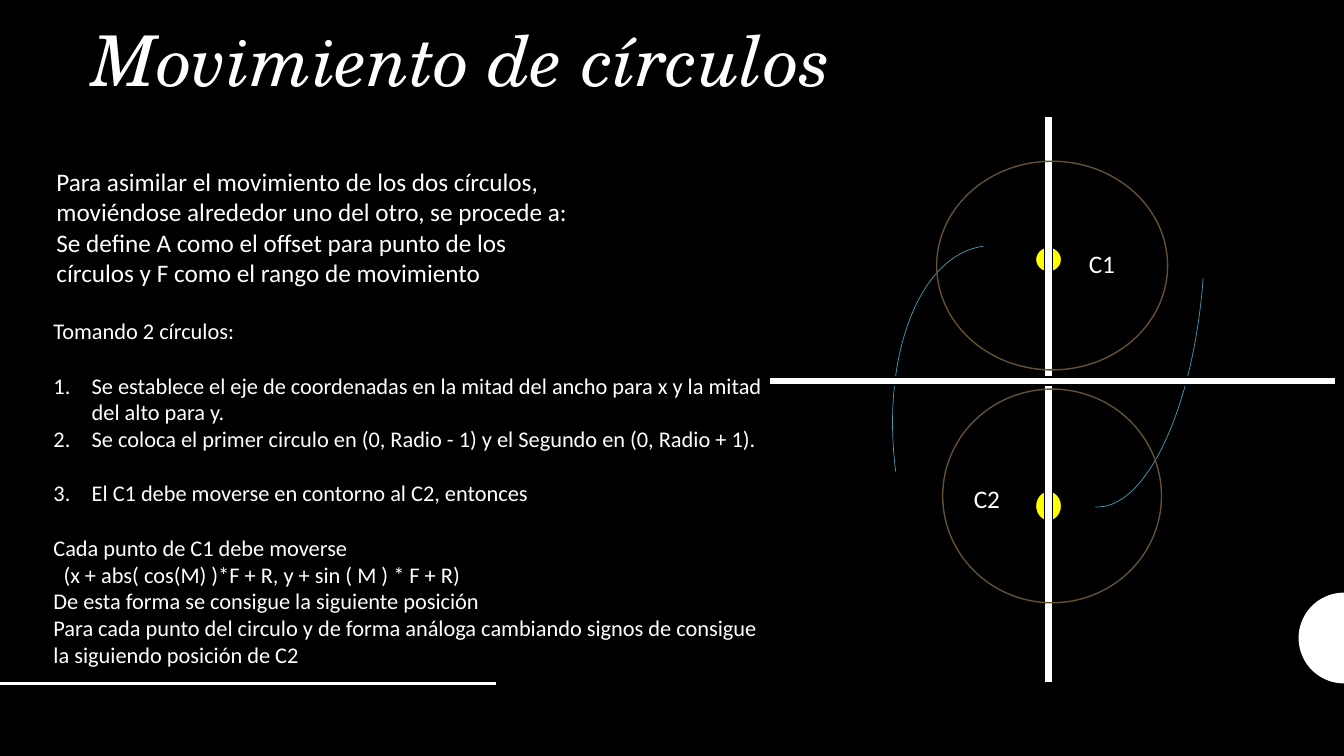
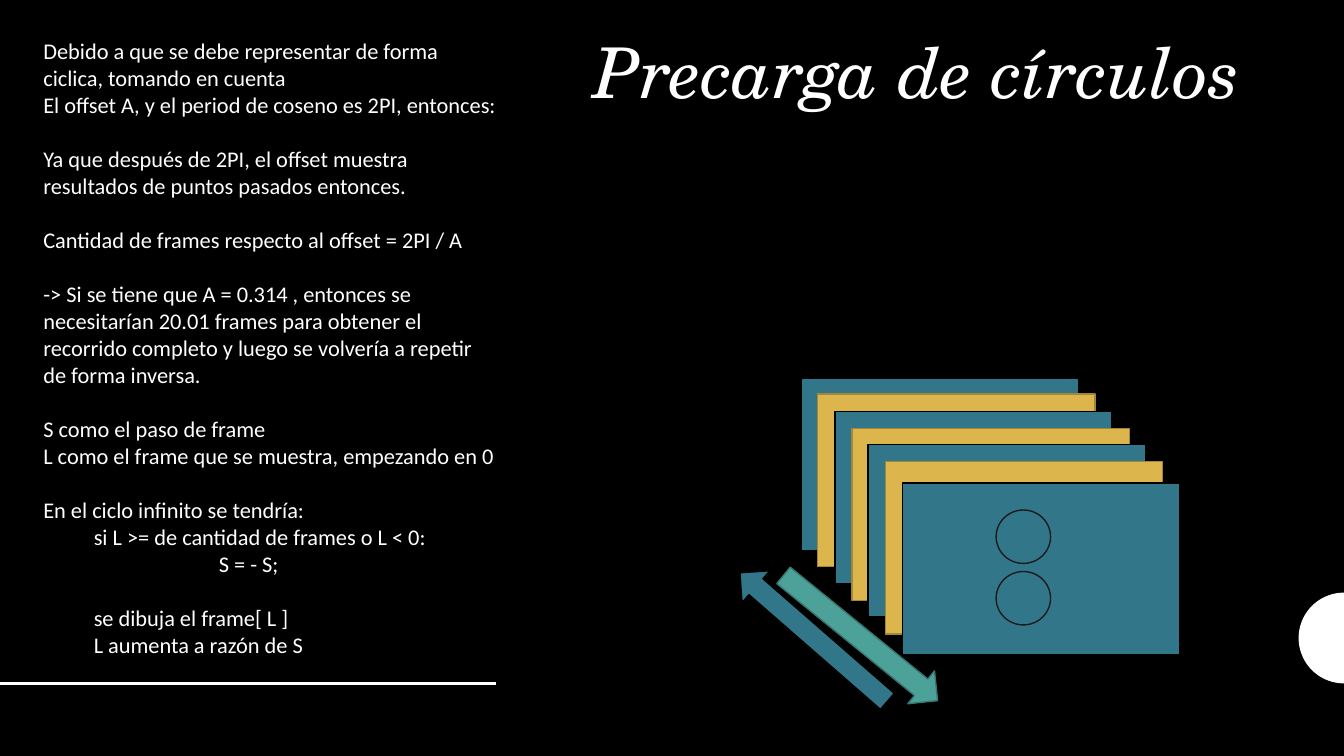
from dataclasses import dataclass
from math import cos, pi, sin
from typing import Optional

from pptx import Presentation
from pptx.dml.color import RGBColor
from pptx.enum.shapes import MSO_AUTO_SHAPE_TYPE as Preset, MSO_CONNECTOR as Connector
from pptx.enum.text import MSO_ANCHOR as Anchor, MSO_AUTO_SIZE as AutoSize, PP_ALIGN as Align
from pptx.oxml.ns import qn
from pptx.slide import Slide
from pptx.util import Emu, Pt
from lxml.etree import SubElement

EMU_PER_PX = 9144


def px(length: float) -> Emu:
    return Emu(round(length * EMU_PER_PX))


@dataclass(frozen=True)
class Theme:
    black: str = "000000"
    white: str = "FFFFFF"
    yellow: str = "FFFF00"
    blue: str = "327689"
    gold: str = "DCB64D"
    gold_edge: str = "A38739"
    green: str = "4CA198"
    green_edge: str = "387770"
    orbit: str = "439EB7"
    ring: str = "645135"
    ink: str = "1D1A1D"
    title_font: str = "TeX Gyre Schola"
    body_font: str = "Calibri"
    title_size: float = 50
    lead_size: float = 18
    body_size: float = 16
    gap: float = 19.5


THEME = Theme()


@dataclass(frozen=True)
class Box:
    left: int
    top: int
    width: int
    height: int


@dataclass(frozen=True)
class Figure:
    preset: Preset
    box: Box
    line: str = THEME.black
    fill: Optional[str] = None
    weight: float = 1
    rotation: float = 0


@dataclass(frozen=True)
class Line:
    text: str
    gap: bool = False
    indent: int = 0
    numbered: bool = False


def rgb(code: str) -> RGBColor:
    return RGBColor.from_string(code)


def place(shape, box: Box) -> None:
    shape.left, shape.top = px(box.left), px(box.top)
    shape.width, shape.height = px(box.width), px(box.height)


def style_font(paragraph, name: str, size: float, italic: bool = False) -> None:
    font = paragraph.font
    font.name, font.size, font.italic = name, Pt(size), italic
    font.color.rgb = rgb(THEME.white)


def set_frame(shape, anchor: Anchor = Anchor.TOP):
    frame = shape.text_frame
    frame.word_wrap = True
    frame.auto_size = AutoSize.NONE
    frame.vertical_anchor = anchor
    return frame


def write_title(slide: Slide, text: str, box: Box) -> None:
    title = slide.shapes.title
    place(title, box)
    paragraph = set_frame(title).paragraphs[0]
    paragraph.text = text
    paragraph.alignment = Align.RIGHT
    paragraph.line_spacing = 0.9
    style_font(paragraph, THEME.title_font, THEME.title_size, italic=True)


def set_bullet(paragraph, line: Line) -> None:
    properties = paragraph._p.get_or_add_pPr()
    hanging = 38 if line.numbered else 0
    properties.set("marL", str(px(line.indent + hanging)))
    properties.set("indent", str(px(-hanging)))
    if line.numbered:
        SubElement(properties, qn("a:buFont"), typeface="+mj-lt")
        SubElement(properties, qn("a:buAutoNum"), type="arabicPeriod")
    else:
        SubElement(properties, qn("a:buNone"))


def write_body(slide: Slide, index: int, box: Box, lines: list[Line], size: float) -> None:
    body = slide.placeholders[index]
    place(body, box)
    frame = set_frame(body)
    for position, line in enumerate(lines):
        paragraph = frame.add_paragraph() if position else frame.paragraphs[0]
        paragraph.text = line.text
        set_bullet(paragraph, line)
        paragraph.alignment = Align.LEFT
        paragraph.space_before = Pt(THEME.gap if line.gap else 0)
        style_font(paragraph, THEME.body_font, size)


def write_label(slide: Slide, text: str, left: int, top: int) -> None:
    label = slide.shapes.add_textbox(px(left), px(top), px(58), px(40))
    paragraph = set_frame(label).paragraphs[0]
    paragraph.text = text
    style_font(paragraph, THEME.body_font, THEME.lead_size)


def draw(slide: Slide, figure: Figure) -> None:
    box = figure.box
    shape = slide.shapes.add_shape(
        figure.preset, px(box.left), px(box.top), px(box.width), px(box.height))
    shape.shadow.inherit = False
    shape.rotation = figure.rotation
    if figure.fill:
        shape.fill.solid()
        shape.fill.fore_color.rgb = rgb(figure.fill)
    else:
        shape.fill.background()
    shape.line.color.rgb = rgb(figure.line)
    shape.line.width = Pt(figure.weight)


def decorate_master(deck: Presentation, slide: Slide) -> None:
    master = deck.slide_master
    master.background.fill.solid()
    master.background.fill.fore_color.rgb = rgb(THEME.black)

    center_y, radius, steps = 633, 45, 48
    rim = [(px(1333 - radius * sin(pi * step / steps)),
            px(center_y + radius * cos(pi * step / steps))) for step in range(steps + 1)]
    builder = slide.shapes.build_freeform(*rim[0])
    builder.add_line_segments(rim[1:], close=True)
    half_disc = builder.convert_to_shape()
    half_disc.shadow.inherit = False
    half_disc.fill.solid()
    half_disc.fill.fore_color.rgb = rgb(THEME.white)
    half_disc.line.fill.background()

    rule = slide.shapes.add_connector(Connector.STRAIGHT, px(0), px(678), px(492), px(678))
    rule.line.color.rgb = rgb(THEME.white)
    rule.line.width = Pt(2)
    SubElement(rule.element.spPr, qn("a:effectLst"))

    for number, decoration in enumerate((half_disc, rule), start=101):
        decoration.element.xpath(".//p:cNvPr")[0].set("id", str(number))
        master.shapes.element.append(decoration.element)


def build_movement(slide: Slide) -> None:
    write_title(slide, "Movimiento de círculos", Box(34, 21, 800, 145))
    write_body(slide, 1, Box(46, 160, 532, 131), [
        Line("Para asimilar el movimiento de los dos círculos, moviéndose alrededor uno del otro, "
             "se procede a:"),
        Line("Se define A como el offset para punto de los círculos y F como el rango de movimiento"),
    ], THEME.lead_size)
    write_body(slide, 2, Box(43, 310, 724, 390), [
        Line("Tomando 2 círculos:"),
        Line("Se establece el eje de coordenadas en la mitad del ancho para x y la mitad del alto "
             "para y.", gap=True, numbered=True),
        Line("Se coloca el primer circulo en (0, Radio - 1) y el Segundo en (0, Radio + 1).",
             numbered=True),
        Line("El C1 debe moverse en contorno al C2, entonces", gap=True, numbered=True),
        Line("Cada punto de C1 debe moverse", gap=True),
        Line("(x + abs( cos(M) )*F + R, y + sin ( M ) * F + R)", indent=10),
        Line("De esta forma se consigue la siguiente posición"),
        Line("Para cada punto del circulo y de forma análoga cambiando signos de consigue la "
             "siguiendo posición de C2"),
    ], THEME.body_size)

    for figure in (
        Figure(Preset.OVAL, Box(1027, 245, 26, 25), fill=THEME.yellow),
        Figure(Preset.OVAL, Box(1027, 487, 26, 30), fill=THEME.yellow),
        Figure(Preset.ARC, Box(869, 179, 468, 181), THEME.orbit, weight=0.5, rotation=94.1),
        Figure(Preset.ARC, Box(792, 338, 421, 230), THEME.orbit, weight=0.5, rotation=262.6),
        Figure(Preset.RECTANGLE, Box(1036, 115, 8, 562), fill=THEME.white),
        Figure(Preset.RECTANGLE, Box(763, 374, 562, 8), fill=THEME.white),
        Figure(Preset.OVAL, Box(935, 386, 217, 212), THEME.ring),
        Figure(Preset.OVAL, Box(929, 160, 229, 207), THEME.ring),
    ):
        draw(slide, figure)
    write_label(slide, "C1", 1070, 241)
    write_label(slide, "C2", 956, 475)


def build_preload(slide: Slide) -> None:
    write_title(slide, "Precarga de círculos", Box(90, 33, 1150, 145))
    write_body(slide, 1, Box(33, 32, 470, 640), [
        Line("Debido a que se debe representar de forma ciclica, tomando en cuenta"),
        Line("El offset A, y el period de coseno es 2PI, entonces:"),
        Line("Ya que después de 2PI, el offset muestra resultados de puntos pasados entonces.",
             gap=True),
        Line("Cantidad de frames respecto al offset = 2PI / A", gap=True),
        Line("-> Si se tiene que A = 0.314 , entonces se necesitarían 20.01 frames para obtener el "
             "recorrido completo y luego se volvería a repetir de forma inversa.", gap=True),
        Line("S como el paso de frame", gap=True),
        Line("L como el frame que se muestra, empezando en 0"),
        Line("En el ciclo infinito se tendría:", gap=True),
        Line("si L >= de cantidad de frames o L < 0:", indent=50),
        Line("S = - S;", indent=174),
        Line("se dibuja el frame[ L ]", gap=True, indent=50),
        Line("L aumenta a razón de S", indent=50),
    ], THEME.body_size)

    draw(slide, Figure(Preset.RIGHT_ARROW, Box(710, 611, 194, 42), fill=THEME.blue, rotation=221.1))
    draw(slide, Figure(Preset.RIGHT_ARROW, Box(755, 612, 197, 42), THEME.green_edge, THEME.green,
                       rotation=39.1))
    frame_styles = ((THEME.black, THEME.blue), (THEME.gold_edge, THEME.gold))
    for number in range(6):
        shift = number * 50 // 3
        draw(slide, Figure(Preset.RECTANGLE, Box(795 + shift, 375 + shift, 275, 171),
                           *frame_styles[number % 2]))
    draw(slide, Figure(Preset.RECTANGLE, Box(895, 479, 275, 171), *frame_styles[0]))
    for top in (506, 567):
        draw(slide, Figure(Preset.OVAL, Box(988, top, 54, 53), THEME.ink))


def main() -> None:
    deck = Presentation()
    deck.slide_width, deck.slide_height = px(1333), px(750)
    movement = deck.slides.add_slide(deck.slide_layouts.get_by_name("Two Content"))
    preload = deck.slides.add_slide(deck.slide_layouts.get_by_name("Title and Content"))
    decorate_master(deck, movement)
    build_movement(movement)
    build_preload(preload)
    deck.save("out.pptx")


if __name__ == "__main__":
    main()
